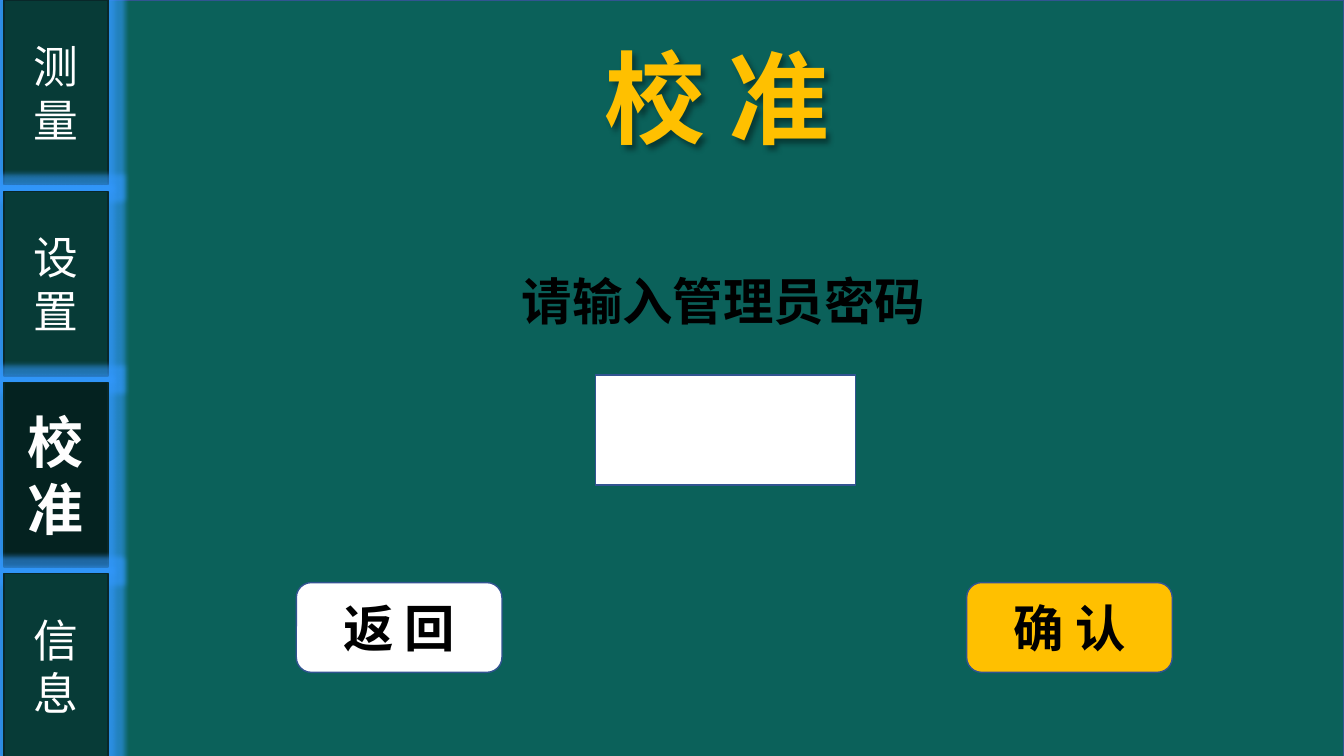
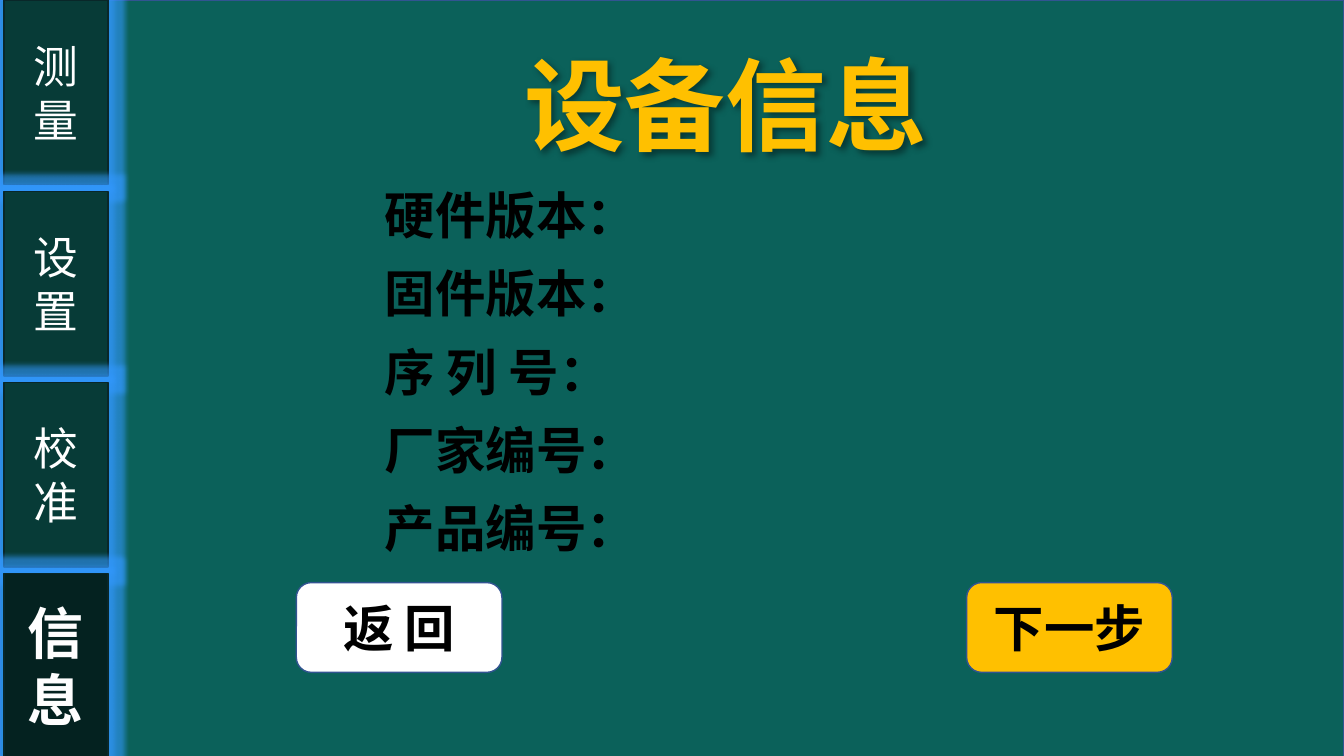
from lxml.etree import SubElement
from pptx import Presentation
from pptx.dml.color import RGBColor
from pptx.enum.shapes import MSO_SHAPE
from pptx.enum.text import MSO_ANCHOR, PP_ALIGN
from pptx.oxml.ns import qn
from pptx.util import Inches, Pt

COLORS = {
    "panel": "0B615A", "edge": "325491", "tab": "073B37", "active": "042220",
    "tab_edge": "092729", "glow": "3399FF", "outline": "4472C4",
    "gold": "FFC000", "white": "FFFFFF", "bright": "FEFEFE", "black": "000000",
}
CJK = "Noto Sans CJK SC"
COLS, ROWS = 160, 90
TABS = ["测\n量", "设置", "校\n准", "信\n息"]
TAB_PITCH = 22.76
FIELDS = ["硬件版本：", "固件版本：", "序 列 号：", "厂家编号：", "产品编号："]
FIELD_PITCH = 9.3


def rgb(name):
    """Return the named colour."""
    return RGBColor.from_string(COLORS[name])


def add_color(parent, name, alpha=100):
    """Append a colour element with an opacity in percent."""
    clr = SubElement(parent, qn("a:srgbClr"), val=COLORS[name])
    SubElement(clr, qn("a:alpha"), val=str(alpha * 1000))


def add_shadow(effects, blur, dist, alpha):
    """Append a shadow that falls to the lower right; lengths in points."""
    shadow = SubElement(effects, qn("a:outerShdw"), blurRad=str(Pt(blur)),
                        dist=str(Pt(dist)), dir="2700000", algn="tl")
    add_color(shadow, "black", alpha)


def write(sp, text, size=36, color="black", font=CJK, bold=True,
          align=PP_ALIGN.CENTER, anchor=MSO_ANCHOR.MIDDLE, outlined=False):
    """Fill a shape with text, one paragraph for each line."""
    tf = sp.text_frame
    tf.word_wrap = True
    tf.vertical_anchor = anchor
    for i, line in enumerate(text.split("\n")):
        p = tf.paragraphs[0] if i == 0 else tf.add_paragraph()
        p.alignment = align
        r = p.add_run()
        r.text = line
        r.font.size, r.font.bold = Pt(size), bold
        rPr = r.font._element if hasattr(r.font, "_element") else r._r.get_or_add_rPr()
        if outlined:
            rPr.set("spc", "50")
            ln = SubElement(rPr, qn("a:ln"), w=str(Pt(0.75)))
            add_color(SubElement(ln, qn("a:solidFill")), "outline")
        r.font.color.rgb = rgb(color)
        if outlined:
            add_shadow(SubElement(rPr, qn("a:effectLst")), 3, 2, 40)
        r.font.name = font
        SubElement(rPr, qn("a:ea"), typeface=CJK)


class Deck:
    """Screens of the device, laid out on a grid of square cells."""

    def __init__(self):
        """Start an empty widescreen presentation."""
        self.prs = Presentation()
        self.prs.slide_width, self.prs.slide_height = Inches(13.33), Inches(7.5)
        self.s = None

    def box(self, x, y, w, h):
        """Turn columns and rows into slide lengths."""
        dx, dy = self.prs.slide_width / COLS, self.prs.slide_height / ROWS
        return round(x * dx), round(y * dy), round(w * dx), round(h * dy)

    def shape(self, x, y, w, h, fill, line="edge", kind=MSO_SHAPE.RECTANGLE):
        """Add a filled shape with a thin line."""
        sp = self.s.shapes.add_shape(kind, *self.box(x, y, w, h))
        sp.shadow.inherit = False
        sp.fill.solid()
        sp.fill.fore_color.rgb = rgb(fill)
        sp.line.color.rgb = rgb(line)
        sp.line.width = Pt(1)
        return sp

    def text(self, x, y, w, h, text, **fmt):
        """Add a text box."""
        sp = self.s.shapes.add_textbox(*self.box(x, y, w, h))
        write(sp, text, anchor=MSO_ANCHOR.TOP, **fmt)
        return sp

    def tab(self, i, active):
        """Add one glowing tab of the side menu."""
        sp = self.shape(0.48, i * TAB_PITCH, 12.36, 22,
                        "active" if active else "tab", "tab_edge")
        effects = sp._element.spPr.find(qn("a:effectLst"))
        add_color(SubElement(effects, qn("a:glow"), rad=str(Pt(8))), "glow", 60)
        if active:
            write(sp, TABS[i], 40, "bright", "Calibri", outlined=True)
        else:
            write(sp, TABS[i], 32, "white", "Calibri", bold=False)

    def title(self, x, y, w, text):
        """Add the large golden heading with a soft shadow."""
        sp = self.text(x, y, w, 15.72, text, size=72, color="gold")
        effects = SubElement(sp._element.spPr, qn("a:effectLst"))
        add_shadow(effects, 4, 3, 40)

    def button(self, x, text, fill):
        """Add a rounded button in the bottom row."""
        sp = self.shape(x, 69.36, 24.48, 10.68, fill,
                        kind=MSO_SHAPE.ROUNDED_RECTANGLE)
        write(sp, text)

    def screen(self, active):
        """Start a slide with its panel and side menu."""
        self.s = self.prs.slides.add_slide(self.prs.slide_layouts[6])
        self.shape(0, 0, COLS, 90.24, "panel")
        for i in range(len(TABS)):
            self.tab(i, i == active)

    def buttons(self, forward):
        """Add the back button and the forward button."""
        self.button(35.28, "返 回", "white")
        self.button(115.08, forward, "gold")


def main():
    """Build both screens and save them."""
    deck = Deck()

    deck.screen(active=2)
    deck.title(48.72, 3.72, 73.2, "校 准")
    deck.buttons("确 认")
    deck.shape(70.92, 44.64, 30.96, 13.08, "white")
    deck.text(51.36, 31.56, 69.48, 8.52, "请输入管理员密码")

    deck.screen(active=3)
    deck.title(37.8, 4.44, 97.2, "设备信息")
    for i, field in enumerate(FIELDS):
        deck.text(44.64, 21.36 + i * FIELD_PITCH, 36.6, 8.52, field,
                  align=PP_ALIGN.LEFT)
    deck.buttons("下一步")

    deck.prs.save("out.pptx")


if __name__ == "__main__":
    main()
